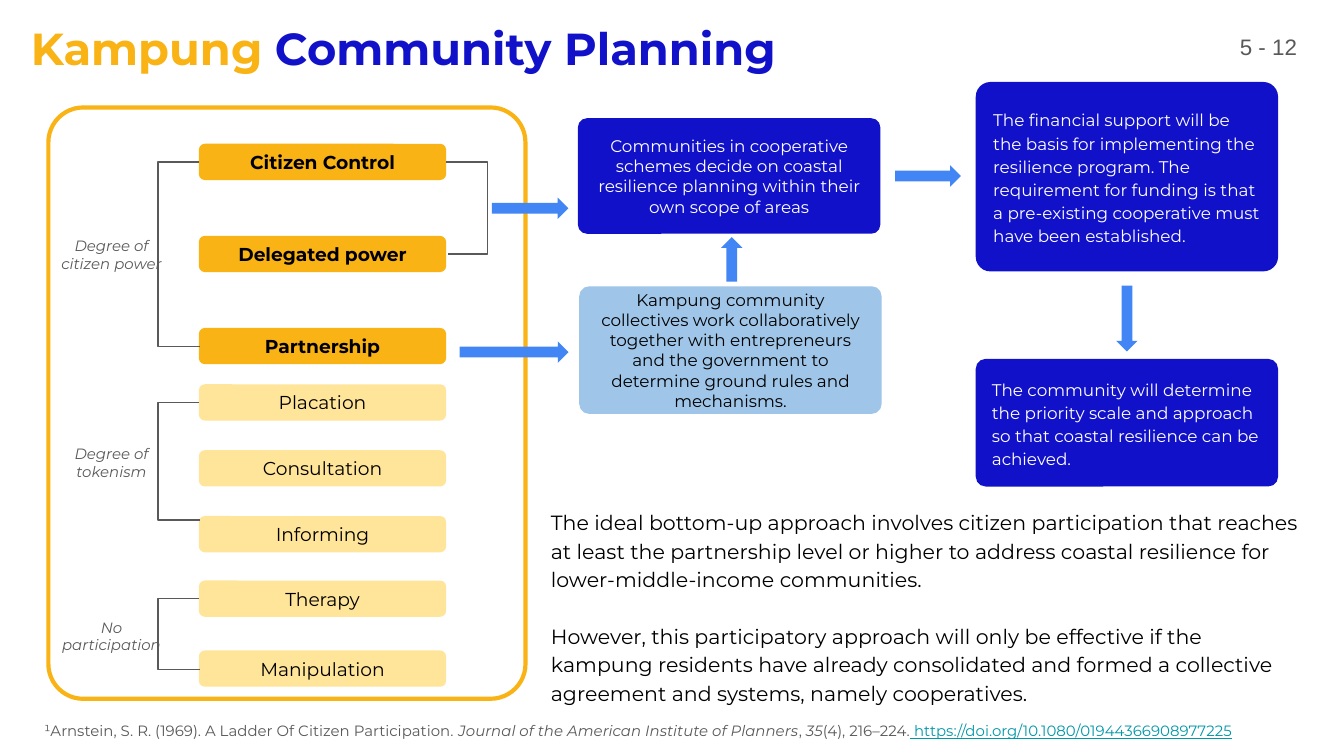
from lxml import etree
from pptx import Presentation
from pptx.dml.color import RGBColor
from pptx.enum.shapes import MSO_CONNECTOR, MSO_SHAPE
from pptx.enum.text import MSO_ANCHOR, MSO_AUTO_SIZE, PP_ALIGN
from pptx.oxml.ns import qn
from pptx.util import Inches, Pt

ROUND, ARROW = MSO_SHAPE.ROUNDED_RECTANGLE, MSO_SHAPE.RIGHT_ARROW
ELBOW = MSO_CONNECTOR.ELBOW
LEFT, CENTER, RIGHT = PP_ALIGN.LEFT, PP_ALIGN.CENTER, PP_ALIGN.RIGHT
TOP, MIDDLE = MSO_ANCHOR.TOP, MSO_ANCHOR.MIDDLE

THEME = {
    "font": "Montserrat", "number_font": "Arial",
    "gold": "F9B314", "cream": "FFE599", "navy": "1211CA", "sky": "9FC5E8",
    "arrow": "4285F4", "grey": "595959", "link": "0097A7",
    "black": "000000", "white": "FFFFFF",
    "title": 24, "number": 12, "body": 11, "rung": 10, "box": 9, "small": 8,
}

TITLE = [("Kampung", {"color": "gold"}), (" Community Planning", {"color": "navy"})]
PAGE_NUMBER = "5 - 12"

# label, label top, first rung top, step between rungs, bracket bottom, fill, bold, rungs
LADDER = [
    ("Degree of citizen power", 1.66, 1.07, 0.685, 2.58, "gold", True,
     ["Citizen Control", "Delegated power", "Partnership"]),
    ("Degree of tokenism", 3.21, 2.86, 0.49, 3.87, "cream", False,
     ["Placation", "Consultation", "Informing"]),
    ("No participation", 4.5, 4.32, 0.52, 4.98, "cream", False,
     ["Therapy", "Manipulation"]),
]
RUNG_X, RUNG_W, RUNG_H = 1.48, 1.84, 0.27
BRACKET_DEPTH, BRACKET_SPAN = 0.31, 0.01

# position, fill, text colour, alignment, line spacing, text
STEPS = [
    ((4.31, 2.13, 2.25, 0.95), "sky", "black", CENTER, 1,
     "Kampung community collectives work collaboratively together with "
     "entrepreneurs and the government to determine ground rules and mechanisms."),
    ((4.3, 0.88, 2.25, 0.86), "navy", "white", CENTER, 1,
     "Communities in cooperative schemes decide on coastal resilience planning "
     "within their own scope of areas"),
    ((7.26, 0.61, 2.25, 1.41), "navy", "white", LEFT, 1.15,
     "The financial support will be the basis for implementing the resilience "
     "program. The requirement for funding is that a pre-existing cooperative "
     "must have been established."),
    ((7.26, 2.67, 2.25, 0.95), "navy", "white", LEFT, 1.15,
     "The community will determine the priority scale and approach so that "
     "coastal resilience can be achieved."),
]

# left, top, length, rotation
ARROWS = [(3.42, 2.54, 0.81, 0), (3.66, 1.47, 0.57, 0), (6.66, 1.23, 0.49, 0),
          (5.28, 1.85, 0.33, 270), (8.14, 2.29, 0.49, 90)]
ARROW_H = 0.16

BODY = [
    "The ideal bottom-up approach involves citizen participation that reaches at "
    "least the partnership level or higher to address coastal resilience for "
    "lower-middle-income communities.",
    "However, this participatory approach will only be effective if the kampung "
    "residents have already consolidated and formed a collective agreement and "
    "systems, namely cooperatives.",
]
REFERENCE = [
    ("¹Arnstein, S. R. (1969). A Ladder Of Citizen Participation. ", {}),
    ("Journal of the American Institute of Planners", {"italic": True}),
    (", ", {}),
    ("35", {"italic": True}),
    ("(4), 216–224.", {}),
    (" https://doi.org/10.1080/01944366908977225",
     {"color": "link", "underline": True}),
]


def rgb(name):
    return RGBColor.from_string(THEME[name])


def write(sp, paragraphs, size, color, align=LEFT, anchor=TOP, spacing=1,
          gap=0, inset=0.1, font="font", **style):
    """Fill a shape; each paragraph is a string or a list of (text, style) runs."""
    tf = sp.text_frame
    tf.word_wrap = True
    tf.auto_size = MSO_AUTO_SIZE.NONE
    tf.vertical_anchor = anchor
    tf.margin_left = tf.margin_right = tf.margin_top = tf.margin_bottom = Inches(inset)
    for i, runs in enumerate(paragraphs):
        p = tf.add_paragraph() if i else tf.paragraphs[0]
        p.alignment = align
        p.line_spacing = spacing
        p.space_before = Pt(gap if i else 0)
        for text, own in [(runs, {})] if isinstance(runs, str) else runs:
            look = {"color": color, **style, **own}
            r = p.add_run()
            r.text = text
            r.font.name = THEME[font]
            r.font.size = Pt(THEME[size])
            r.font.color.rgb = rgb(look["color"])
            r.font.bold = look.get("bold", False)
            r.font.italic = look.get("italic", False)
            r.font.underline = look.get("underline", False)


def add_text(s, box, paragraphs, size, color, **options):
    sp = s.shapes.add_textbox(*map(Inches, box))
    write(sp, paragraphs, size, color, **options)


def paint(sp, fill=None, line=None, width=0.75):
    sp.shadow.inherit = False
    if fill:
        sp.fill.solid()
        sp.fill.fore_color.rgb = rgb(fill)
    else:
        sp.fill.background()
    if line:
        sp.line.color.rgb = rgb(line)
        sp.line.width = Pt(width)
    else:
        sp.line.fill.background()


def add_round(s, box, radius, **look):
    sp = s.shapes.add_shape(ROUND, *map(Inches, box))
    sp.adjustments[0] = radius
    paint(sp, **look)
    return sp


def add_bracket(s, x, top, bottom, depth):
    """Elbow whose ends touch x and whose bend lies depth away, left if negative."""
    line = s.shapes.add_connector(
        ELBOW, *map(Inches, (x, top, x + BRACKET_SPAN, bottom)))
    line.line.color.rgb = rgb("grey")
    line.line.width = Pt(0.75)
    props = line._element.spPr
    guides = props.find(qn("a:prstGeom")).find(qn("a:avLst"))
    etree.SubElement(guides, qn("a:gd"), name="adj1",
                     fmla=f"val {round(depth / BRACKET_SPAN * 100000)}")
    etree.SubElement(props, qn("a:effectLst"))


def add_ladder(s):
    add_round(s, (0.36, 0.8, 3.55, 4.4), 0.073, line="gold", width=2.25)
    for label, label_top, top, step, bottom, fill, bold, rungs in LADDER:
        for i, name in enumerate(rungs):
            sp = add_round(s, (RUNG_X, top + i * step, RUNG_W, RUNG_H), 0.167, fill=fill)
            write(sp, [name], "rung", "black", align=CENTER, anchor=MIDDLE, bold=bold)
        add_bracket(s, RUNG_X, top + RUNG_H / 2, bottom, -BRACKET_DEPTH)
        add_text(s, (0.32, label_top, 1.02, 0.47), [label], "small", "grey",
                 align=CENTER, italic=True)
    top, step = LADDER[0][2:4]
    middle = top + RUNG_H / 2
    add_bracket(s, RUNG_X + RUNG_W, middle, middle + step, BRACKET_DEPTH)


def add_flow(s):
    for box, fill, color, align, spacing, text in STEPS:
        sp = add_round(s, box, 0.078, fill=fill)
        write(sp, [text], "box", color, align=align, anchor=MIDDLE, spacing=spacing)
    for x, y, length, rotation in ARROWS:
        sp = s.shapes.add_shape(ARROW, *map(Inches, (x, y, length, ARROW_H)))
        sp.rotation = rotation
        paint(sp, fill="arrow")


def main():
    prs = Presentation()
    prs.slide_width, prs.slide_height = Inches(10), Inches(5.625)
    s = prs.slides.add_slide(prs.slide_layouts[5])
    title = s.shapes.title
    title.left, title.top, title.width, title.height = map(
        Inches, (0.23, 0.19, 9.61, 0.38))
    write(title, [TITLE], "title", "navy", spacing=0.94, inset=0, bold=True)
    add_ladder(s)
    add_flow(s)
    add_text(s, (4, 3.67, 5.78, 1.66), BODY, "body", "black", spacing=1.15, gap=15.4)
    add_text(s, (0.23, 5.25, 9.33, 0.38), [REFERENCE], "small", "grey", spacing=1.15)
    add_text(s, (9.02, 0.13, 0.73, 0.43), [PAGE_NUMBER], "number", "grey",
             align=RIGHT, anchor=MIDDLE, font="number_font")
    prs.save("out.pptx")


if __name__ == "__main__":
    main()
